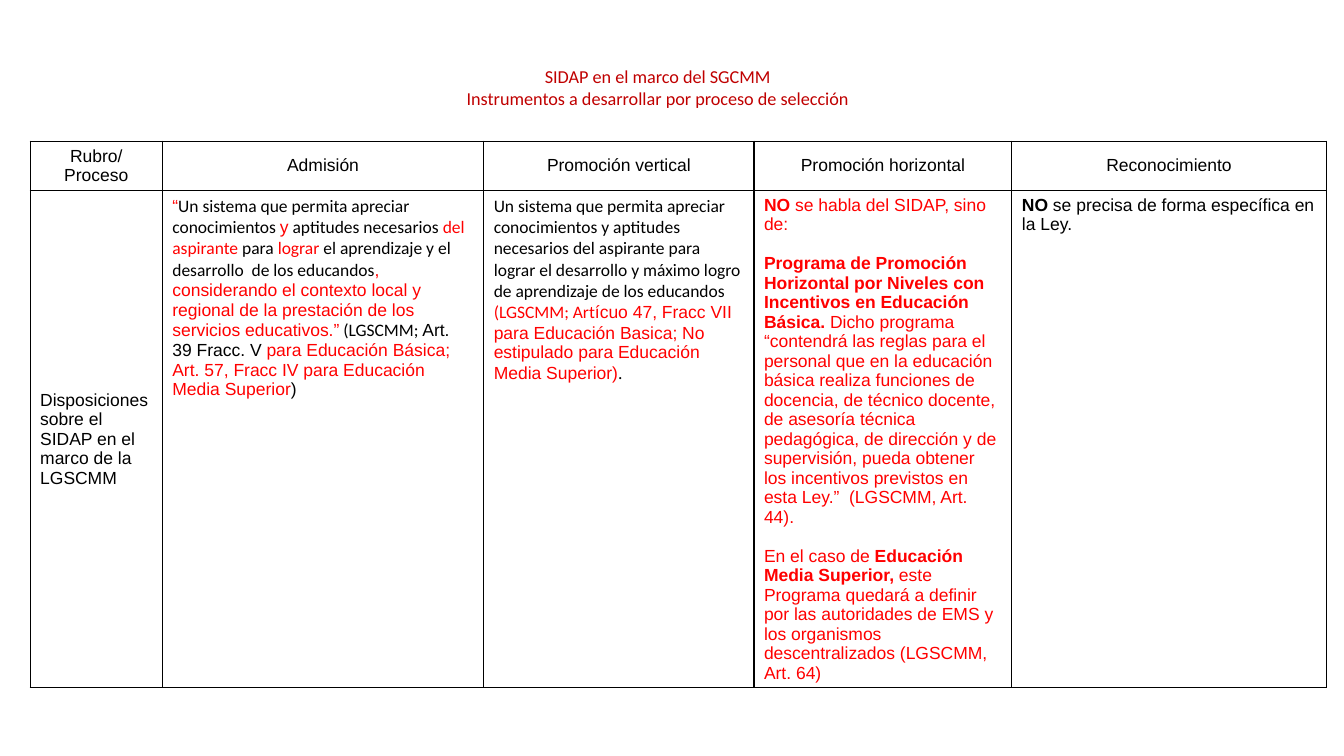
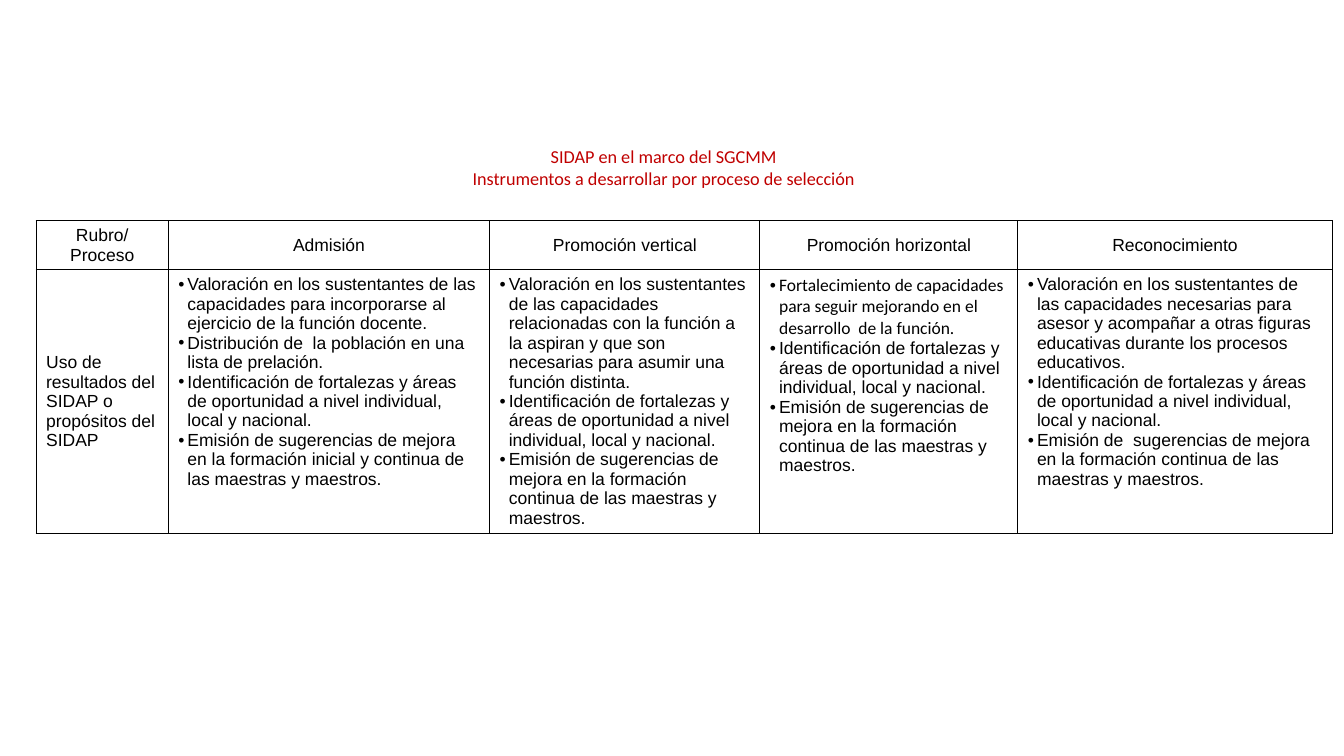
import pptx
import pptx.dml.color
import pptx.enum.text
import pptx.oxml.ns
import pptx.util
from lxml import etree
from pptx.util import Cm, Pt

COLORS = {"text": "000000", "accent": "FF0000", "title": "C00000", "border": "000000"}
ALIGN = pptx.enum.text.PP_ALIGN
ANCHOR = pptx.enum.text.MSO_ANCHOR
TITLE = ["SIDAP en el marco del SGCMM", "Instrumentos a desarrollar por proceso de selección"]
HEADERS = ["Rubro/Proceso", "Admisión", "Promoción vertical", "Promoción horizontal",
           "Reconocimiento"]
COLUMN_WIDTHS = [3.33, 8.1, 6.81, 6.5, 7.92]
HEADER_HEIGHT = 1.23

BOLD = {"bold": True}
RED = {"color": "accent"}
RED_BOLD = {"color": "accent", "bold": True}
CALIBRI = {"font": "Calibri"}
CALIBRI_RED = {"font": "Calibri", "color": "accent"}

STRENGTHS = "Identificación de fortalezas y áreas de oportunidad a nivel individual, local y nacional."
SUGGESTIONS = "Emisión de sugerencias de mejora en la formación continua de las maestras y maestros."

PROVISIONS = [
    ["Disposiciones sobre el SIDAP en el marco de la LGSCMM"],
    [[("“", RED),
      ("Un sistema que permita apreciar conocimientos ", CALIBRI),
      ("y", RED),
      (" aptitudes necesarios ", CALIBRI),
      ("del aspirante ", CALIBRI_RED),
      ("para ", CALIBRI),
      ("lograr ", CALIBRI_RED),
      ("el aprendizaje y el desarrollo  de los educandos", CALIBRI),
      (", considerando el contexto local y regional de la prestación de los servicios "
       "educativos.”", RED),
      (" (LGSCMM; ", CALIBRI),
      ("Art. 39 Fracc. V ", {}),
      ("para Educación Básica; Art. 57, Fracc IV para Educación Media Superior", RED),
      (")", {})]],
    [[("Un sistema que permita apreciar conocimientos y aptitudes necesarios del aspirante "
       "para lograr el desarrollo y máximo logro de aprendizaje de los educandos ", CALIBRI),
      ("(LGSCMM; Art", CALIBRI_RED),
      ("ícuo 47, Fracc VII para Educación Basica; No estipulado para Educación Media "
       "Superior)", RED),
      (".", CALIBRI)]],
    [[("NO", RED_BOLD), (" se habla del SIDAP, sino de:", RED)],
     [("Programa de Promoción Horizontal por Niveles con Incentivos en Educación Básica. ",
       RED_BOLD),
      ("Dicho programa “contendrá las reglas para el personal que en la educación básica "
       "realiza funciones de docencia, de técnico docente, de asesoría técnica pedagógica, "
       "de dirección y de supervisión, pueda obtener los incentivos previstos en esta "
       "Ley.”  (LGSCMM, Art. 44).", RED)],
     [("En el caso de ", RED),
      ("Educación Media Superior, ", RED_BOLD),
      ("este Programa quedará a definir por las autoridades de EMS y los organismos "
       "descentralizados (LGSCMM, Art. 64)", RED)]],
    [[("NO", BOLD), (" se precisa de forma específica en la Ley.", {})]],
]

PURPOSES = [
    ["Uso de resultados del SIDAP o propósitos del SIDAP"],
    ["Valoración en los sustentantes de las capacidades para incorporarse al ejercicio de la "
     "función docente.",
     "Distribución de  la población en una lista de prelación.",
     STRENGTHS,
     "Emisión de sugerencias de mejora en la formación inicial y continua de las maestras y "
     "maestros."],
    ["Valoración en los sustentantes de las capacidades relacionadas con la función a la "
     "aspiran y que son necesarias para asumir una función distinta.",
     STRENGTHS, SUGGESTIONS],
    [[("Fortalecimiento de capacidades para seguir mejorando en el desarrollo  de la función.",
       CALIBRI)],
     STRENGTHS, SUGGESTIONS],
    ["Valoración en los sustentantes de las capacidades necesarias para asesor y acompañar a "
     "otras figuras educativas durante los procesos educativos.",
     STRENGTHS,
     "Emisión de  sugerencias de mejora en la formación continua de las maestras y maestros."],
]


def add_text(p, text, font="Arial", size=12.5, color="text", bold=False):
    r = p.add_run()
    r.text = text
    r.font.name = font
    r.font.size = Pt(size)
    r.font.bold = bold
    r.font.color.rgb = pptx.dml.color.RGBColor.from_string(COLORS[color])


def add_child(parent, tag, **attributes):
    child = etree.SubElement(parent, pptx.oxml.ns.qn(tag))
    for name, value in attributes.items():
        child.set(name, str(value))
    return child


def add_bullet(p):
    pPr = p._p.get_or_add_pPr()
    indent = Cm(0.23)
    pPr.set("marL", str(indent))
    pPr.set("indent", str(-indent))
    add_child(add_child(pPr, "a:buClr"), "a:srgbClr", val=COLORS["text"])
    add_child(pPr, "a:buFont", typeface="Arial")
    add_child(pPr, "a:buChar", char="•")


def set_borders(cell):
    """Draw all four sides; the border elements must precede the fill."""
    tcPr = cell._tc.get_or_add_tcPr()
    for position, tag in enumerate(("a:lnL", "a:lnR", "a:lnT", "a:lnB")):
        line = add_child(tcPr, tag, w=Pt(1))
        add_child(add_child(line, "a:solidFill"), "a:srgbClr", val=COLORS["border"])
        tcPr.insert(position, line)


def fill_cell(cell, paragraphs, align=ALIGN.LEFT, anchor=ANCHOR.TOP, bullets=False, gap=0):
    """Write paragraphs, each a string or a list of (text, format) runs."""
    cell.fill.background()
    set_borders(cell)
    cell.vertical_anchor = anchor
    tf = cell.text_frame
    for i, runs in enumerate(paragraphs):
        p = tf.add_paragraph() if i else tf.paragraphs[0]
        p.alignment = align
        if i and gap:
            p.space_before = Pt(gap)
        if bullets:
            add_bullet(p)
        for text, style in [(runs, {})] if isinstance(runs, str) else runs:
            add_text(p, text, **style)


def add_title(slide, left, top):
    sp = slide.shapes.title
    sp.left, sp.top, sp.width, sp.height = Cm(left), Cm(top), Cm(23.34), Cm(1.37)
    tf = sp.text_frame
    tf.word_wrap = True
    tf.auto_size = pptx.enum.text.MSO_AUTO_SIZE.NONE
    tf.vertical_anchor = ANCHOR.TOP
    for i, line in enumerate(TITLE):
        p = tf.add_paragraph() if i else tf.paragraphs[0]
        p.alignment = ALIGN.CENTER
        add_text(p, line, font="Calibri", size=13, color="title")


def add_process_table(slide, left, top, body, body_height, **body_format):
    frame = slide.shapes.add_table(2, len(HEADERS), Cm(left), Cm(top),
                                   Cm(sum(COLUMN_WIDTHS)), Cm(HEADER_HEIGHT + body_height))
    table = frame.table
    table.first_row = table.horz_banding = False
    table.rows[0].height, table.rows[1].height = Cm(HEADER_HEIGHT), Cm(body_height)
    for i, (width, header, content) in enumerate(zip(COLUMN_WIDTHS, HEADERS, body)):
        table.columns[i].width = Cm(width)
        fill_cell(table.cell(0, i), [header], align=ALIGN.CENTER, anchor=ANCHOR.MIDDLE)
        if i == 0:
            fill_cell(table.cell(1, i), content, anchor=ANCHOR.MIDDLE)
        else:
            fill_cell(table.cell(1, i), content, **body_format)


def add_process_slide(prs, left, top, body, body_height, **body_format):
    slide = prs.slides.add_slide(prs.slide_layouts.get_by_name("Title Only"))
    add_title(slide, left + 4.14, top - 2.03)
    add_process_table(slide, left, top, body, body_height, **body_format)


def main():
    prs = pptx.Presentation()
    prs.slide_width, prs.slide_height = Cm(33.87), Cm(19.05)
    add_process_slide(prs, 0.76, 3.56, PROVISIONS, 12.5, gap=14)
    add_process_slide(prs, 0.91, 5.56, PURPOSES, 6.64, bullets=True)
    prs.save("out.pptx")


if __name__ == "__main__":
    main()
